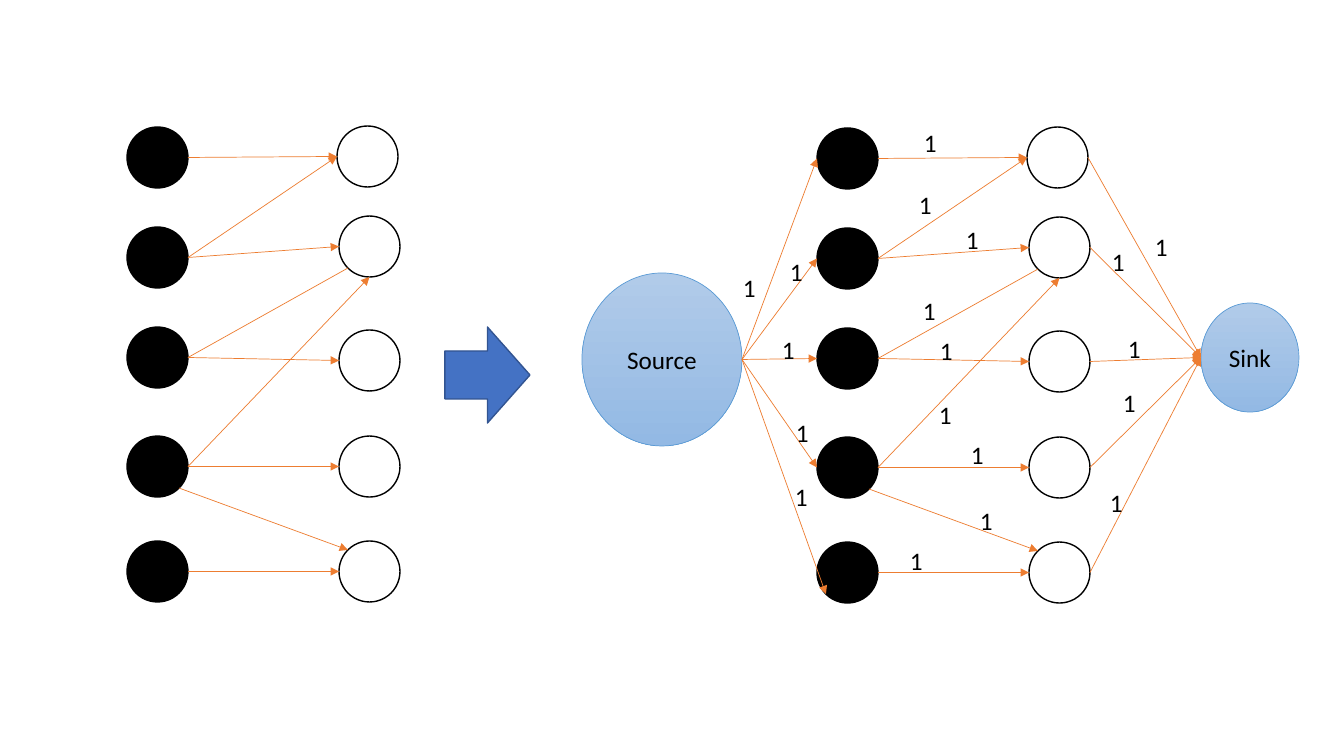
import math

import pptx
import pptx.util
import pptx.dml.color
import pptx.enum.shapes
import pptx.enum.text
import pptx.oxml.ns
from lxml import etree

EMU_PER_PX = 914400 / 100.8
SHAPE = pptx.enum.shapes.MSO_SHAPE
ORANGE = "ED7D31"
NODE = 61  # diameter of a graph node
BLACK_NODES = [(127, 127), (127, 227), (127, 327), (127, 436), (127, 541)]
WHITE_NODES = [(337, 126), (339, 216), (339, 330), (339, 436), (339, 541)]

# Angles of the connection sites on an ellipse, clockwise from the right
RIGHT, LOWER_RIGHT, BOTTOM, LOWER_LEFT, LEFT, UPPER_LEFT = 0, 45, 90, 135, 180, 225

# black node, its site, white node, its site, arrowhead
EDGES = [
    (0, RIGHT, 0, LEFT, True),
    (1, RIGHT, 0, LEFT, True),
    (1, RIGHT, 1, LEFT, True),
    (2, RIGHT, 1, LOWER_LEFT, False),
    (3, RIGHT, 1, BOTTOM, True),
    (3, RIGHT, 3, LEFT, True),
    (3, LOWER_RIGHT, 4, UPPER_LEFT, True),
    (4, RIGHT, 4, LEFT, True),
    (2, RIGHT, 2, LEFT, True),
]
CAPACITIES = [
    (733, 267), (785, 476), (780, 251), (786, 412), (772, 329),
    (914, 122), (909, 184), (956, 219), (913, 290), (930, 330),
    (929, 394), (961, 434), (970, 500), (900, 540),
    (1145, 226), (1102, 241), (1118, 328), (1100, 482), (1113, 382),
]


def px(n):
    """Turn pixels into EMU."""
    return pptx.util.Emu(round(n * EMU_PER_PX))


def rgb(hex_color):
    """Turn a hex string into a colour."""
    return pptx.dml.color.RGBColor.from_string(hex_color)


def write(sp, text, size=18, color="000000", align=None, wrap=True):
    """Put formatted text into a shape."""
    tf = sp.text_frame
    tf.word_wrap = wrap
    p = tf.paragraphs[0]
    p.alignment = align
    r = p.add_run()
    r.text = text
    r.font.name = "Calibri"
    r.font.size = pptx.util.Pt(size)
    r.font.color.rgb = rgb(color)


def add_shape(s, kind, x, y, w, h, fill, line, weight=1):
    """Add a preset shape; two fill colours make a downward gradient."""
    sp = s.shapes.add_shape(kind, px(x), px(y), px(w), px(h))
    sp.shadow.inherit = False
    if isinstance(fill, tuple):
        sp.fill.gradient()
        sp.fill.gradient_angle = 270
        for stop, color in zip(sp.fill.gradient_stops, fill):
            stop.color.rgb = rgb(color)
    else:
        sp.fill.solid()
        sp.fill.fore_color.rgb = rgb(fill)
    sp.line.color.rgb = rgb(line)
    sp.line.width = pptx.util.Pt(weight)
    return sp


def site(sp, angle):
    """Return the point of an ellipse at an angle, in EMU."""
    a = math.radians(angle)
    x = sp.left + sp.width / 2 * (1 + math.cos(a))
    y = sp.top + sp.height / 2 * (1 + math.sin(a))
    return pptx.util.Emu(round(x)), pptx.util.Emu(round(y))


def add_edge(s, start, end, arrow=True):
    """Add a thin orange line between two points."""
    kind = pptx.enum.shapes.MSO_CONNECTOR.STRAIGHT
    c = s.shapes.add_connector(kind, *start, *end)
    c.line.color.rgb = rgb(ORANGE)
    c.line.width = pptx.util.Pt(0.5)
    qn = pptx.oxml.ns.qn
    if arrow:
        etree.SubElement(c.line._get_or_add_ln(), qn("a:tailEnd"), type="triangle")
    etree.SubElement(c._element.spPr, qn("a:effectLst"))


def add_graph(s, dx=0, dy=0):
    """Add the bipartite graph at an offset; return its two node columns."""
    blacks, whites = (
        [add_shape(s, SHAPE.OVAL, x + dx, y + dy, NODE, NODE, fill, "000000")
         for x, y in nodes]
        for nodes, fill in ((BLACK_NODES, "000000"), (WHITE_NODES, "FFFFFF"))
    )
    for b, b_site, w, w_site, arrow in EDGES:
        add_edge(s, site(blacks[b], b_site), site(whites[w], w_site), arrow)
    return blacks, whites


def add_terminal(s, text, x, y, w, h):
    """Add the source or sink of the flow network."""
    sp = add_shape(s, SHAPE.OVAL, x, y, w, h, ("B1CBE9", "93B9E4"), "5B9BD5", 0.5)
    sp.text_frame.vertical_anchor = pptx.enum.text.MSO_ANCHOR.MIDDLE
    write(sp, text, align=pptx.enum.text.PP_ALIGN.CENTER)
    return sp


def add_capacity(s, x, y):
    """Add the capacity label of an edge."""
    write(s.shapes.add_textbox(px(x), px(y), px(33), px(40)), "1", wrap=False)


def main():
    """Build the slide: matching graph, arrow, flow network."""
    prs = pptx.Presentation()
    prs.slide_width, prs.slide_height = px(1344), px(756)
    s = prs.slides.add_slide(prs.slide_layouts[6])

    add_graph(s)
    blacks, whites = add_graph(s, dx=690, dy=1)
    source = add_terminal(s, "Source", 582, 273, 160, 173)
    sink = add_terminal(s, "Sink", 1201, 303, 98, 109)
    for i, black in enumerate(blacks):
        angle = LOWER_LEFT if i == len(blacks) - 1 else LEFT
        add_edge(s, site(source, RIGHT), site(black, angle))
    for white in whites:
        add_edge(s, site(white, RIGHT), site(sink, LEFT))
    for x, y in CAPACITIES:
        add_capacity(s, x, y)
    add_shape(s, SHAPE.RIGHT_ARROW, 445, 327, 85, 96, "4472C4", "325491")

    prs.save("out.pptx")


main()
